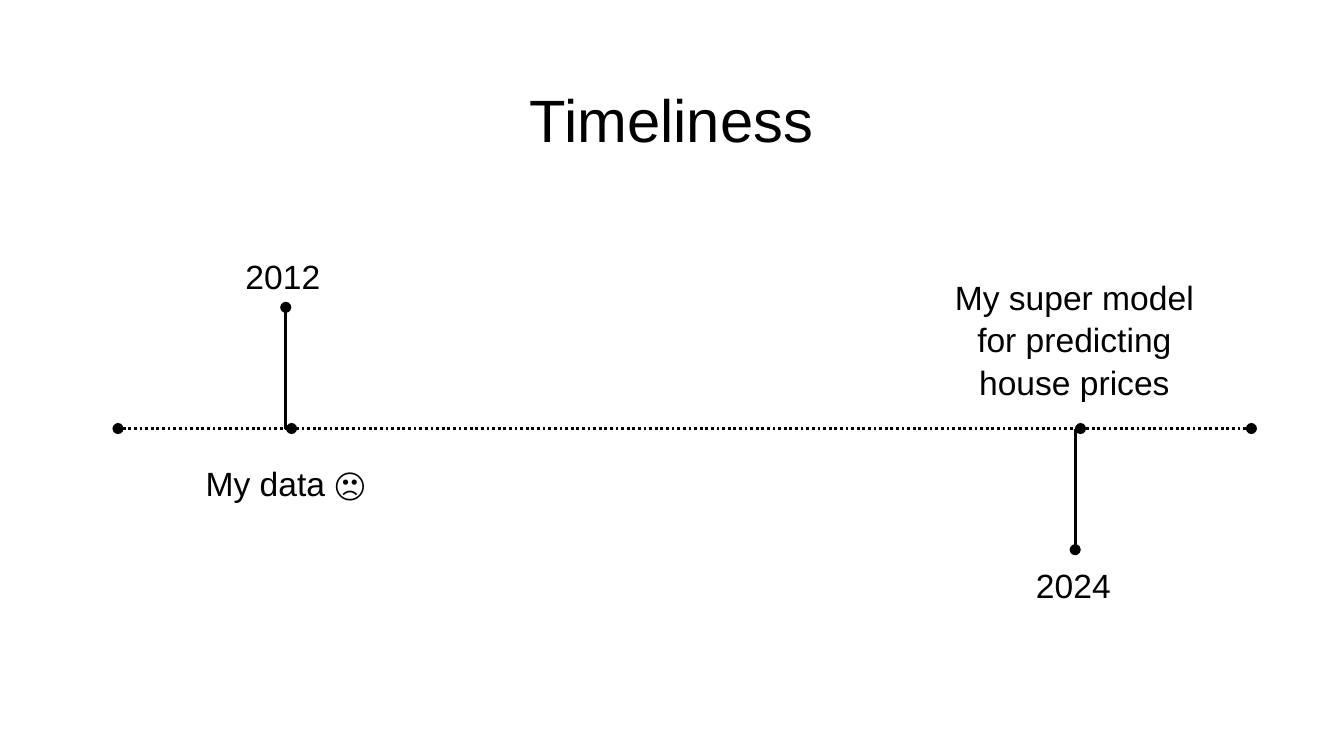
from lxml import etree
from pptx import Presentation
from pptx.dml.color import RGBColor
from pptx.enum import dml, shapes, text
from pptx.oxml.ns import qn
from pptx.util import Cm, Pt

COLORS = {"ink": "000000", "paper": "FFFFFF"}
FONT = "Arial"
INSET = Cm(0.25)
AXIS_Y = 8.1
STEM = 2.29


def color(name):
    return RGBColor.from_string(COLORS[name])


def write(holder, wording, size, align):
    frame = holder.text_frame
    frame.word_wrap = True
    frame.auto_size = text.MSO_AUTO_SIZE.NONE
    frame.vertical_anchor = text.MSO_ANCHOR.TOP
    frame.margin_left = frame.margin_right = INSET
    frame.margin_top = frame.margin_bottom = INSET
    paragraph = frame.paragraphs[0]
    paragraph.alignment = align
    paragraph.line_spacing = 1.05
    paragraph.space_before = Pt(0)
    run = paragraph.add_run()
    run.text = wording
    run.font.name = FONT
    run.font.size = Pt(size)
    run.font.color.rgb = color("ink")


def add_title(slide, wording):
    title = slide.shapes.title
    title.left, title.top = Cm(0.86), Cm(1.24)
    title.width, title.height = Cm(23.67), Cm(1.73)
    write(title, wording, 32, text.PP_ALIGN.CENTER)


def add_label(slide, wording, left, top, width, height, align):
    label = slide.shapes.add_textbox(Cm(left), Cm(top), Cm(width), Cm(height))
    write(label, wording, 18, align)


def add_line(slide, start, end, dotted=False, ovals=("tailEnd",)):
    line = slide.shapes.add_connector(
        shapes.MSO_CONNECTOR.STRAIGHT, *(Cm(value) for value in start + end)
    )
    line.line.color.rgb = color("ink")
    line.line.width = Pt(1.5)
    if dotted:
        line.line.dash_style = dml.MSO_LINE.ROUND_DOT
    outline = line.line._get_or_add_ln()
    for oval in ovals:
        etree.SubElement(outline, qn(f"a:{oval}"), type="oval")
    etree.SubElement(line._element.spPr, qn("a:effectLst"))


def main():
    deck = Presentation()
    deck.slide_width, deck.slide_height = Cm(25.4), Cm(14.29)
    slide = deck.slides.add_slide(deck.slide_layouts[5])
    slide.background.fill.solid()
    slide.background.fill.fore_color.rgb = color("paper")
    add_title(slide, "Timeliness")

    for start_x, end_x, ovals in (
        (2.23, 5.51, ("headEnd", "tailEnd")),
        (5.38, 20.42, ("tailEnd",)),
        (20.42, 23.65, ("tailEnd",)),
    ):
        add_line(slide, (start_x, AXIS_Y), (end_x, AXIS_Y), True, ovals)
    for year_x, direction in ((20.32, 1), (5.4, -1)):
        add_line(slide, (year_x, AXIS_Y), (year_x, AXIS_Y + direction * STEM))

    left, center = text.PP_ALIGN.LEFT, text.PP_ALIGN.CENTER
    for label in (
        ("2024", 19.33, 10.39, 2.41, 1.73, left),
        ("2012", 4.39, 4.55, 2.69, 1.73, left),
        ("My super model for predicting house prices", 17.42, 4.95, 5.77, 2.95, center),
        ("My data 🙁", 2.64, 8.46, 5.51, 2.39, center),
    ):
        add_label(slide, *label)
    deck.save("out.pptx")


if __name__ == "__main__":
    main()
